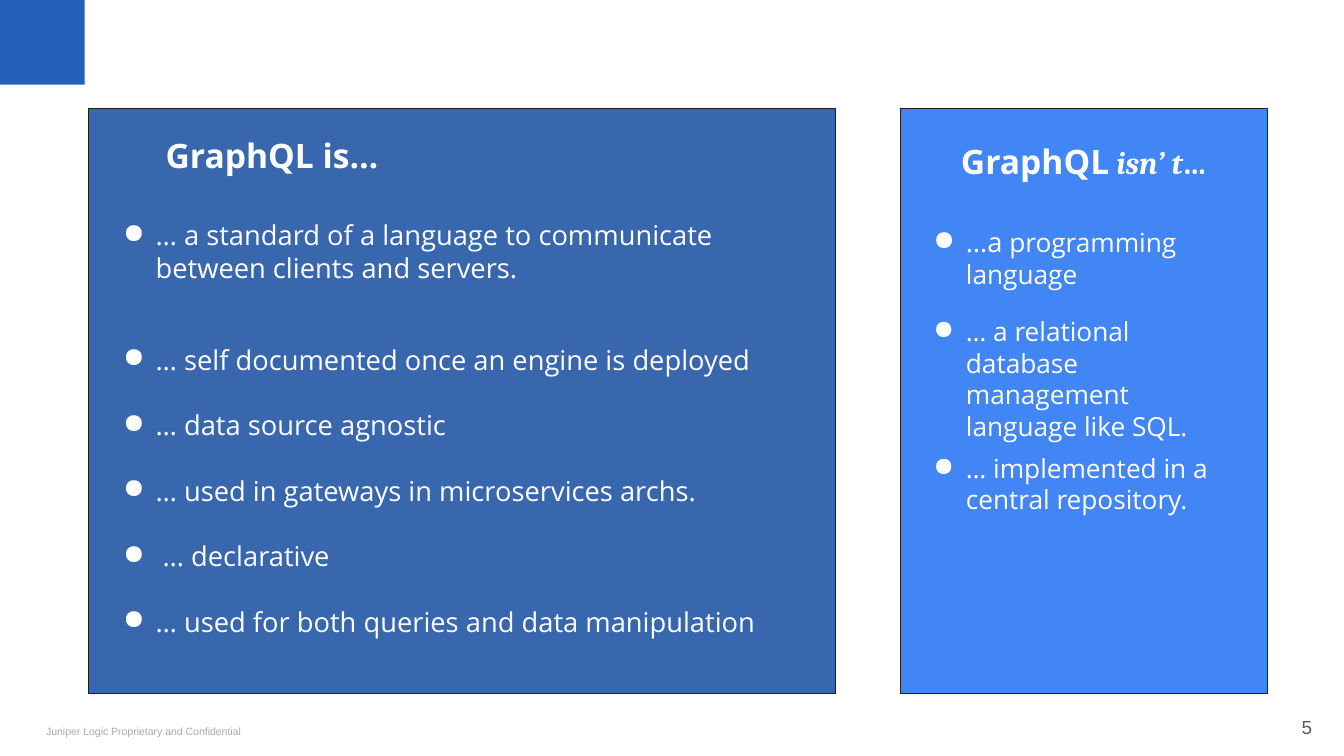
from dataclasses import dataclass
from lxml import etree
from pptx import Presentation
from pptx.dml.color import RGBColor
from pptx.enum.shapes import MSO_SHAPE
from pptx.enum.text import MSO_ANCHOR, MSO_AUTO_SIZE, PP_ALIGN
from pptx.oxml.ns import qn
from pptx.util import Inches, Pt

RECT = MSO_SHAPE.RECTANGLE
TOP, MIDDLE = MSO_ANCHOR.TOP, MSO_ANCHOR.MIDDLE
LEFT, CENTER, RIGHT = PP_ALIGN.LEFT, PP_ALIGN.CENTER, PP_ALIGN.RIGHT
FIXED = MSO_AUTO_SIZE.NONE


@dataclass(frozen=True)
class Theme:
    badge: str = "215FBB"
    deep: str = "3967AE"
    bright: str = "4285F4"
    edge: str = "1F1D1D"
    white: str = "FFFFFF"
    foot: str = "A6AAA9"
    page: str = "595959"
    head: int = 32
    aside: int = 30
    body: int = 26
    small: int = 25
    number: int = 18
    note: int = 10
    sans: str = "Open Sans"
    serif: str = "Cambria"
    plain: str = "Arial"


THEME = Theme()


def add_rect(slide, box, fill, edge=None):
    shape = slide.shapes.add_shape(RECT, *map(Inches, box))
    shape.shadow.inherit = False
    shape.fill.solid()
    shape.fill.fore_color.rgb = RGBColor.from_string(fill)
    if edge:
        shape.line.color.rgb = RGBColor.from_string(edge)
        shape.line.width = Pt(0.75)
    else:
        shape.line.fill.background()


def set_frame(shape, anchor=TOP, inset=None):
    frame = shape.text_frame
    frame.word_wrap = True
    frame.auto_size = FIXED
    frame.vertical_anchor = anchor
    if inset is not None:
        frame.margin_left = frame.margin_right = Inches(inset)
        frame.margin_top = frame.margin_bottom = Inches(inset)
    return frame


def add_box(slide, box, anchor=TOP, inset=None):
    shape = slide.shapes.add_textbox(*map(Inches, box))
    return set_frame(shape, anchor, inset)


def add_run(para, text, size, face, color=THEME.white, bold=False, slant=False):
    run = para.add_run()
    run.text = text
    font = run.font
    font.size, font.name = Pt(size), face
    font.bold, font.italic = bold, slant
    font.color.rgb = RGBColor.from_string(color)


def add_head(frame, runs):
    para = frame.paragraphs[0]
    para.alignment, para.line_spacing = CENTER, 0.9
    for text, size, face, slant in runs:
        add_run(para, text, size, face, bold=True, slant=slant)


def add_mark(para):
    props = para._p.get_or_add_pPr()
    props.set("marL", str(Inches(0.5)))
    props.set("indent", str(Inches(-0.43)))
    tint = etree.SubElement(props, qn("a:buClr"))
    etree.SubElement(tint, qn("a:srgbClr")).set("val", THEME.white)
    etree.SubElement(props, qn("a:buChar")).set("char", "●")


def add_list(slide, box, items):
    frame = add_box(slide, box)
    for i, (runs, pitch, before, after) in enumerate(items):
        para = frame.add_paragraph() if i else frame.paragraphs[0]
        add_mark(para)
        para.alignment, para.line_spacing = LEFT, pitch
        para.space_before, para.space_after = Pt(before), Pt(after)
        for text, size in runs:
            add_run(para, text, size, THEME.sans)


def add_note(slide, box, text, size, color, align, pitch, anchor, inset):
    para = add_box(slide, box, anchor, inset).paragraphs[0]
    para.alignment, para.line_spacing = align, pitch
    add_run(para, text, size, THEME.plain, color)


def add_title(slide, box, text):
    title = slide.shapes.title
    title.left, title.top, title.width, title.height = map(Inches, box)
    add_head(set_frame(title), [(text, THEME.head, THEME.sans, False)])
    slide.shapes._spTree.append(title._element)


def main():
    deck = Presentation()
    deck.slide_width, deck.slide_height = Inches(17.78), Inches(10)
    slide = deck.slides.add_slide(deck.slide_layouts[5])

    add_rect(slide, (0, 0, 1.12, 1.12), THEME.badge)
    add_note(slide, (0.56, 9.49, 3.77, 0.26),
             "Juniper Logic Proprietary and Confidential",
             THEME.note, THEME.foot, LEFT, 1.3, TOP, 0.05)
    add_note(slide, (16.47, 9.23, 1.07, 0.76), "5",
             THEME.number, THEME.page, RIGHT, 1.0, MIDDLE, 0.18)

    add_rect(slide, (1.17, 1.44, 9.88, 7.73), THEME.deep, THEME.edge)
    add_title(slide, (1.35, 1.79, 4.5, 0.85), "GraphQL is…")
    first = "… a standard of a language to communicate between clients and servers."
    rest = [
        "… self documented once an engine is deployed",
        "… data source agnostic",
        "… used in gateways in microservices archs.",
        " … declarative",
        "… used for both queries and data manipulation",
    ]
    items = [([(first, THEME.body)], 1.0, 0, 0)]
    items += [([(text, THEME.body)], 2.0, 0 if i else 25, 0)
              for i, text in enumerate(rest)]
    add_list(slide, (1.46, 2.84, 9.29, 5.81), items)

    add_rect(slide, (11.91, 1.44, 4.86, 7.73), THEME.bright, THEME.edge)
    add_head(add_box(slide, (12.09, 1.87, 4.5, 0.85)), [
        ("GraphQL", THEME.head, THEME.sans, False),
        (" ", THEME.aside, THEME.serif, False),
        ("isn’ t", THEME.aside, THEME.serif, True),
        ("…", THEME.aside, THEME.serif, False),
    ])
    add_list(slide, (12.18, 2.93, 4.33, 5.81), [
        ([("…a", THEME.body), (" programming language", THEME.small)], 1.0, 0, 0),
        ([("… a relational database management language like SQL.",
           THEME.small)], 1.0, 25, 0),
        ([("… implemented in a central repository.", THEME.small)], 1.0, 10, 10),
    ])
    deck.save("out.pptx")


if __name__ == "__main__":
    main()
